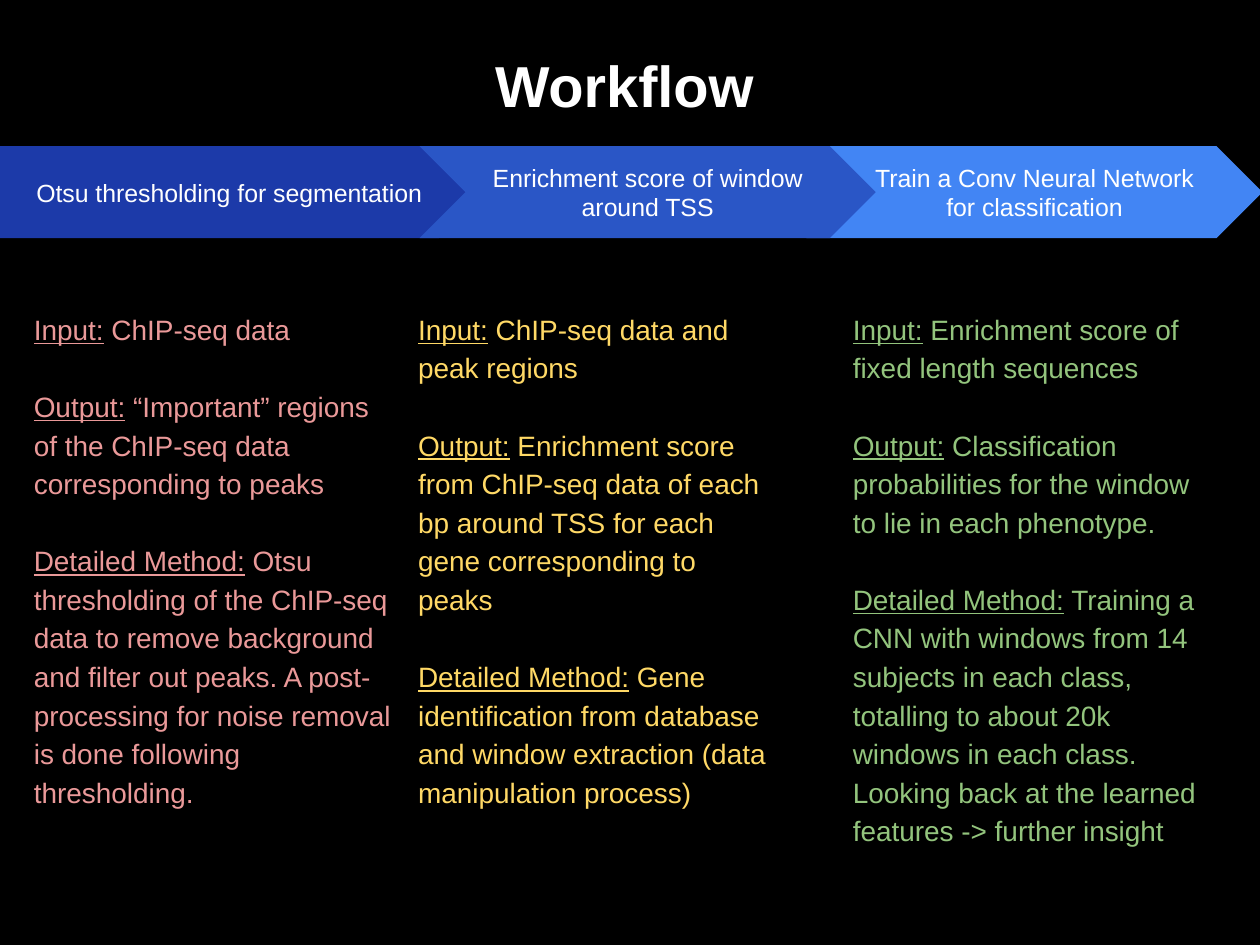
from pptx import Presentation
from pptx.dml.color import RGBColor
from pptx.enum.shapes import MSO_SHAPE as Shape
from pptx.enum.text import MSO_ANCHOR as Anchor, PP_ALIGN as Align
from pptx.util import Inches, Pt

BLACK = RGBColor(0x00, 0x00, 0x00)
WHITE = RGBColor(0xFF, 0xFF, 0xFF)
NAVY = RGBColor(0x1C, 0x3A, 0xA9)
ROYAL = RGBColor(0x2A, 0x56, 0xC6)
SKY = RGBColor(0x42, 0x85, 0xF4)
PINK = RGBColor(0xEA, 0x99, 0x99)
YELLOW = RGBColor(0xFF, 0xD9, 0x66)
GREEN = RGBColor(0x93, 0xC4, 0x7D)

# Grid of tenths of an inch
COLUMNS, ROWS = 100, 75
ARROW_TOP, ARROW_HEIGHT = 11.6, 7.3
DETAIL_TOP, DETAIL_HEIGHT = 23.4, 28.6
LABELS = ("Input:", "Output:", "Detailed Method:")


class WorkflowSlide:
    font_name = "Arial"
    title_size, arrow_size, detail_size = Pt(33), Pt(14.2), Pt(16)
    line_spacing, paragraph_gap = 1.15, Pt(22)

    def __init__(self, presentation):
        self.column = presentation.slide_width / COLUMNS
        self.row = presentation.slide_height / ROWS
        self.slide = presentation.slides.add_slide(presentation.slide_layouts[6])
        background = self.slide.background.fill
        background.solid()
        background.fore_color.rgb = BLACK

    def place(self, left, top, width, height):
        return (round(left * self.column), round(top * self.row),
                round(width * self.column), round(height * self.row))

    def set_frame(self, shape, anchor, side=0.1, end=0.1):
        frame = shape.text_frame
        frame.word_wrap = True
        frame.vertical_anchor = anchor
        frame.margin_left = frame.margin_right = Inches(side)
        frame.margin_top = frame.margin_bottom = Inches(end)
        return frame

    def set_font(self, paragraph, size, color, bold=False):
        font = paragraph.font
        font.name, font.size, font.bold = self.font_name, size, bold
        font.color.rgb = color

    def title(self, text, *box):
        shape = self.slide.shapes.add_textbox(*self.place(*box))
        paragraph = self.set_frame(shape, Anchor.MIDDLE, 0.07, 0.04).paragraphs[0]
        paragraph.text = text
        paragraph.alignment = Align.CENTER
        paragraph.line_spacing = 0.9
        self.set_font(paragraph, self.title_size, WHITE, bold=True)

    def arrow(self, kind, text, fill, left, width):
        shape = self.slide.shapes.add_shape(
            kind, *self.place(left, ARROW_TOP, width, ARROW_HEIGHT))
        shape.adjustments[0] = 0.5
        shape.shadow.inherit = False
        shape.fill.solid()
        shape.fill.fore_color.rgb = fill
        shape.line.fill.background()
        paragraph = self.set_frame(shape, Anchor.MIDDLE).paragraphs[0]
        paragraph.text = text
        paragraph.alignment = Align.CENTER
        self.set_font(paragraph, self.arrow_size, WHITE)

    def details(self, texts, color, left, width):
        shape = self.slide.shapes.add_textbox(
            *self.place(left, DETAIL_TOP, width, DETAIL_HEIGHT))
        frame = self.set_frame(shape, Anchor.TOP)
        for index, (label, text) in enumerate(zip(LABELS, texts)):
            paragraph = frame.add_paragraph() if index else frame.paragraphs[0]
            if index:
                paragraph.space_before = self.paragraph_gap
            paragraph.line_spacing = self.line_spacing
            self.set_font(paragraph, self.detail_size, color)
            heading = paragraph.add_run()
            heading.text = label
            heading.font.underline = True
            paragraph.add_run().text = " " + text


# Steps from back to front: arrow (kind, text, fill, left, width),
# then details (texts, colour, left, width)
STEPS = [
    ((Shape.CHEVRON, "Train a Conv Neural Network for classification", SKY, 64, 36.2),
     (("Enrichment score of fixed length sequences",
       "Classification probabilities for the window to lie in each phenotype.",
       "Training a CNN with windows from 14 subjects in each class, totalling to "
       "about 20k windows in each class. Looking back at the learned features -> "
       "further insight"), GREEN, 66.7, 30.8)),
    ((Shape.PENTAGON, "Otsu thresholding for segmentation", NAVY, -0.3, 38.8),
     (("ChIP-seq data",
       "“Important” regions of the ChIP-seq data corresponding to peaks",
       "Otsu thresholding of the ChIP-seq data to remove background and filter out "
       "peaks. A post-processing for noise removal is done following thresholding."),
      PINK, 1.7, 30.5)),
    ((Shape.CHEVRON, "Enrichment score of window around TSS", ROYAL, 33.3, 36.2),
     (("ChIP-seq data and peak regions",
       "Enrichment score from ChIP-seq data of each bp around TSS for each gene "
       "corresponding to peaks",
       "Gene identification from database and window extraction "
       "(data manipulation process)"), YELLOW, 32.2, 30.3)),
]


def main():
    presentation = Presentation()
    presentation.slide_width, presentation.slide_height = Inches(10), Inches(7.5)
    workflow = WorkflowSlide(presentation)
    for arrow, details in STEPS:
        workflow.arrow(*arrow)
        workflow.details(*details)
    workflow.title("Workflow ", 7.1, 1.6, 86.2, 10.9)
    presentation.save("out.pptx")


if __name__ == "__main__":
    main()
